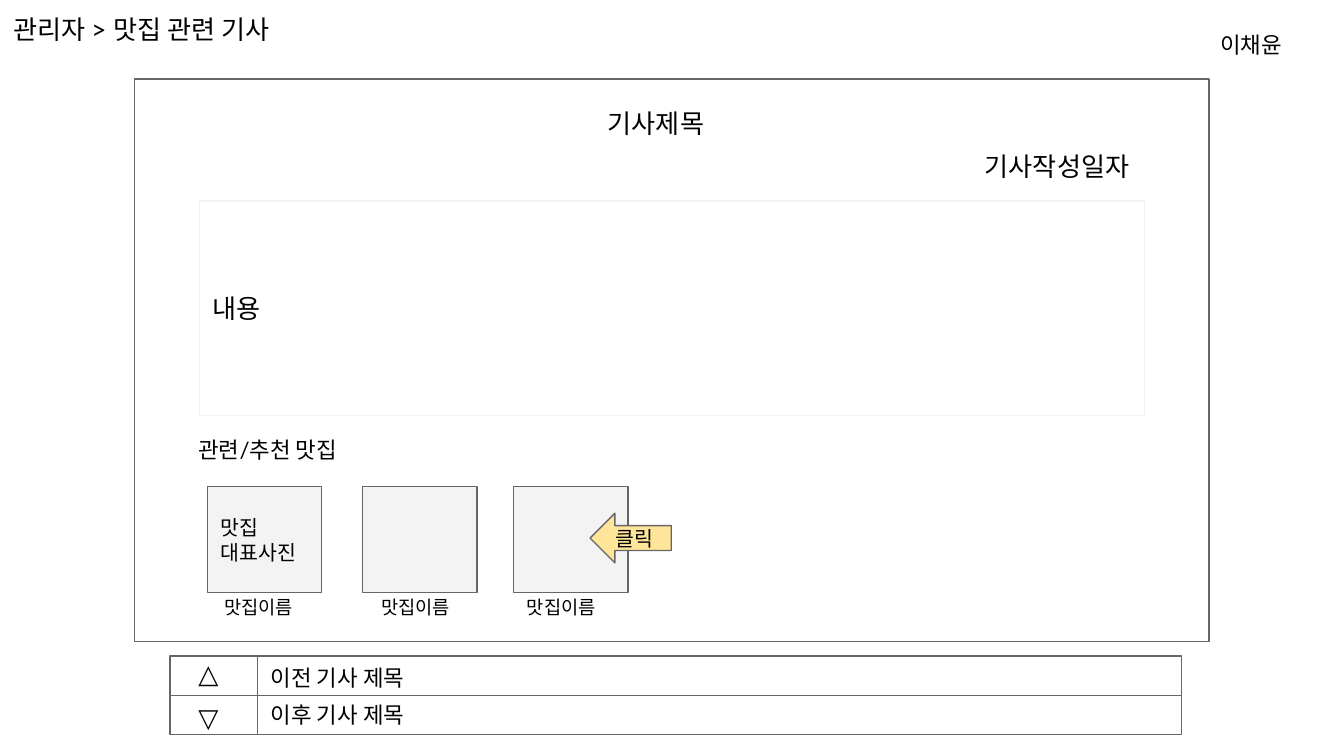
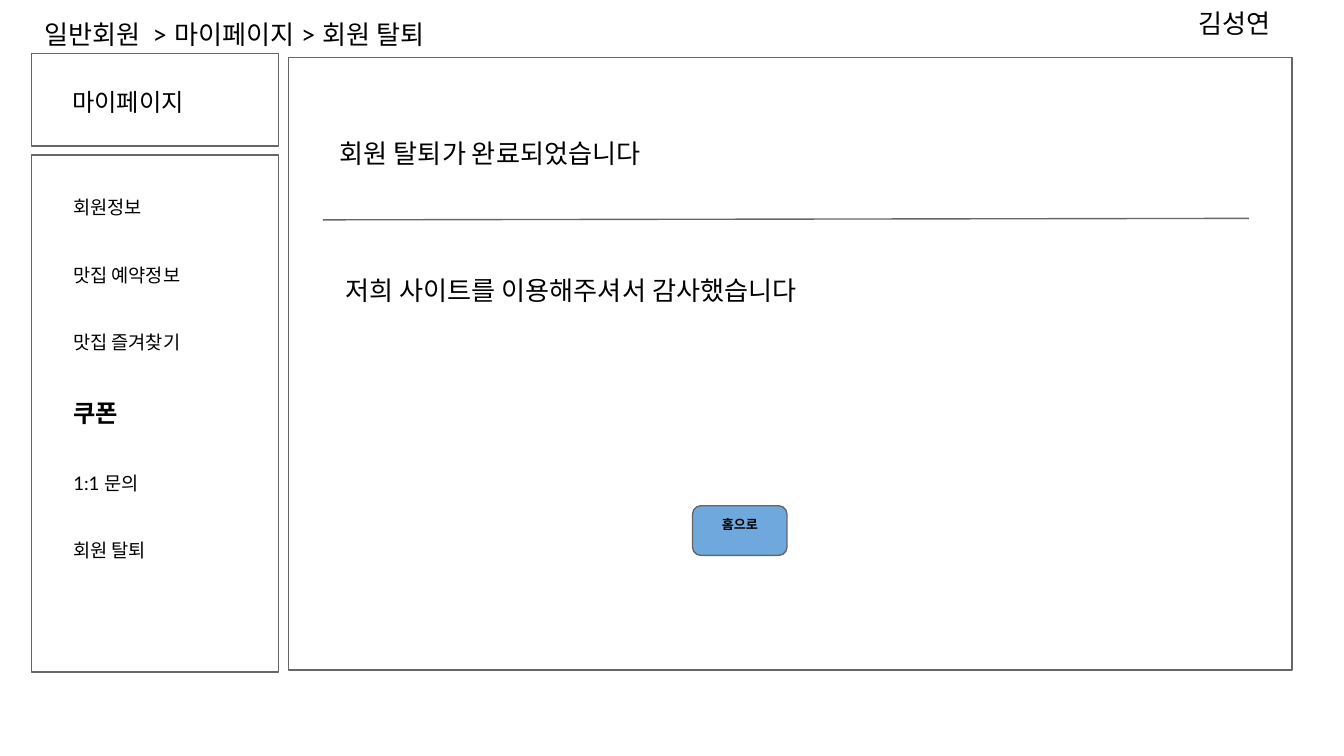
from lxml import etree
from pptx import Presentation
from pptx import util as u
from pptx.dml.color import RGBColor
from pptx.enum import shapes, text
from pptx.oxml.ns import qn

GRAY, PALE, WHITE, BLACK = "666666", "F3F3F3", "FFFFFF", "000000"
YELLOW, BLUE = "FFE599", "6FA8DC"
INSET = 7.2
RECT = shapes.MSO_SHAPE.RECTANGLE
BOX_HEIGHT = {7: 23, 10: 26.5, 12: 28.8, 13: 30.2, 14: 31.6}

ARTICLE_LABELS = [
    ("기사제목", 318.5, 50.3, 98.5, 14),
    ("기사작성일자", 520.5, 73.3, 129, 14),
    ("관련/추천 맛집", 99.2, 226.7, 291, 12),
]
NEIGHBOURS = [
    ("이전 기사 제목", 348.5, "△", 345),
    ("이후 기사 제목", 368.6, "▽", 368.6),
]
RESTAURANTS = [
    (111, 111, ["맛집", "대표사진"]),
    (194.3, 195, []),
    (275.2, 273, []),
]
MENU = ["회원정보", "맛집 예약정보", "맛집 즐겨찾기", "쿠폰", "1:1 문의", "회원 탈퇴"]
CURRENT = "쿠폰"
MESSAGES = [
    ("회원 탈퇴가 완료되었습니다", 175, 66.2, 199),
    ("저희 사이트를 이용해주셔서 감사했습니다", 178, 139.7, 431),
]


def color(value):
    return RGBColor.from_string(value)


def write(sp, lines, size, font, bold=False, align=None):
    tf = sp.text_frame
    tf.word_wrap = True
    tf.margin_left = tf.margin_right = tf.margin_top = tf.margin_bottom = u.Pt(INSET)
    for i, line in enumerate(lines):
        p = tf.paragraphs[0] if i == 0 else tf.add_paragraph()
        p.text = line
        p.alignment = align or text.PP_ALIGN.LEFT
        p.font.size = u.Pt(size)
        p.font.name = font
        p.font.bold = bold
        p.font.color.rgb = color(BLACK)
    return tf


def label(parent, lines, x, y, w, size, h=None, **style):
    h = h or BOX_HEIGHT[size]
    sp = parent.add_textbox(u.Pt(x), u.Pt(y), u.Pt(w), u.Pt(h))
    tf = write(sp, lines, size, "Lato", **style)
    tf.auto_size = text.MSO_AUTO_SIZE.SHAPE_TO_FIT_TEXT
    return tf


def box(parent, x, y, w, h, fill=None, line=GRAY, kind=RECT, lines=(), size=11):
    sp = parent.add_shape(kind, u.Pt(x), u.Pt(y), u.Pt(w), u.Pt(h))
    sp.shadow.inherit = False
    if fill:
        sp.fill.solid()
        sp.fill.fore_color.rgb = color(fill)
    else:
        sp.fill.background()
    sp.line.color.rgb = color(line)
    sp.line.width = u.Pt(0.75)
    if lines:
        tf = write(sp, lines, size, "Arial")
        tf.vertical_anchor = text.MSO_ANCHOR.MIDDLE
    return sp


def rule(parent, x1, y1, x2, y2):
    c = parent.add_connector(shapes.MSO_CONNECTOR.STRAIGHT,
                             u.Pt(x1), u.Pt(y1), u.Pt(x2), u.Pt(y2))
    c.line.color.rgb = color(GRAY)
    c.line.width = u.Pt(0.75)
    etree.SubElement(c._element.spPr, qn("a:effectLst"))
    return c


def build_article(s):
    sh = s.shapes
    label(sh, ["관리자 > 맛집 관련 기사"], 0, 0, 172, 14)
    box(sh, 72.2, 42.3, 575.5, 301.5)

    x, y, w, h, split = 91, 351.5, 542, 42, 138
    frame = box(sh, x, y, w, h)
    middle = rule(sh, x, y + h / 2, x + w, y + h / 2)
    middle.begin_connect(frame, 1)
    middle.end_connect(frame, 3)
    rule(sh, split, y, split, y + h)
    for title, title_y, mark, mark_y in NEIGHBOURS:
        label(sh, [title], split, title_y, 96.5, 12)
        label(sh, [mark], 99.2, mark_y, 291, 14)

    for title, x, y, w, size in ARTICLE_LABELS:
        label(sh, [title], x, y, w, size)
    box(sh, 106.9, 107.8, 506.3, 114.7, line=PALE, lines=["내용"], size=14)

    for photo_x, name_x, caption in RESTAURANTS:
        box(sh, photo_x, 260.7, 61.3, 56.8, fill=PALE, lines=caption)
        label(sh, [" 맛집이름"], name_x, 313.2, 61.3, 10)
    box(sh, 316.1, 275, 43.5, 26.6, fill=YELLOW,
        kind=shapes.MSO_SHAPE.LEFT_ARROW, lines=["클릭"])
    label(sh, ["이채윤"], 646.5, 9.4, 73.4, 12)


def build_withdrawal(s):
    sh = s.shapes
    label(sh, ["일반회원  > 마이페이지 > 회원 탈퇴"], 16.6, 2.9, 270, 14)
    label(sh, ["김성연"], 635, -3, 65.5, 14)

    header = sh.add_group_shape().shapes
    box(header, 16.8, 28.8, 132.5, 49.5, fill=WHITE)
    label(header, ["마이페이지"], 31.7, 39.6, 102.2, 13)

    box(sh, 16.8, 83, 132.5, 277, fill=WHITE)
    tf = label(sh, MENU, 32.2, 97.9, 102.2, 10, h=212.4)
    for i, p in enumerate(tf.paragraphs):
        p.space_before = u.Pt(24 if i else 0)
        if p.text == CURRENT:
            p.font.size = u.Pt(13)
            p.font.bold = True

    box(sh, 154.6, 30.8, 537.6, 328.2, fill=WHITE)
    for message, x, y, w in MESSAGES:
        label(sh, [message], x, y, w, 14)
    rule(sh, 173, 117.8, 669, 117)
    button = box(sh, 371, 271, 50.6, 26.6, fill=BLUE,
                 kind=shapes.MSO_SHAPE.ROUNDED_RECTANGLE)
    button.adjustments[0] = 0.167
    label(sh, ["홈으로"], 365.7, 272.7, 61.3, 7, bold=True, align=text.PP_ALIGN.CENTER)


def main():
    prs = Presentation()
    prs.slide_width, prs.slide_height = u.Pt(720), u.Pt(405)
    for build in (build_article, build_withdrawal):
        s = prs.slides.add_slide(prs.slide_layouts[6])
        build(s)
    prs.save("out.pptx")


if __name__ == "__main__":
    main()
